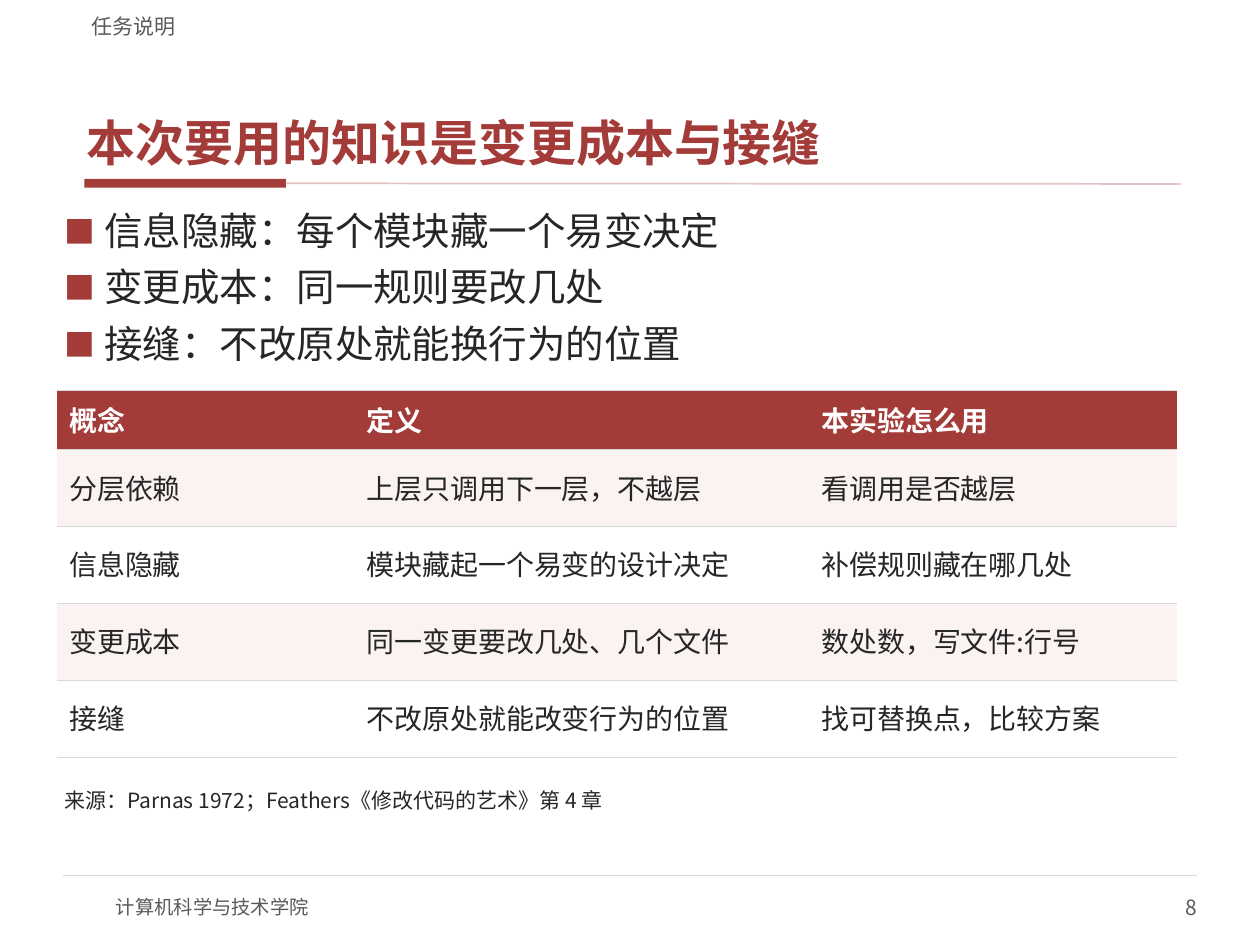
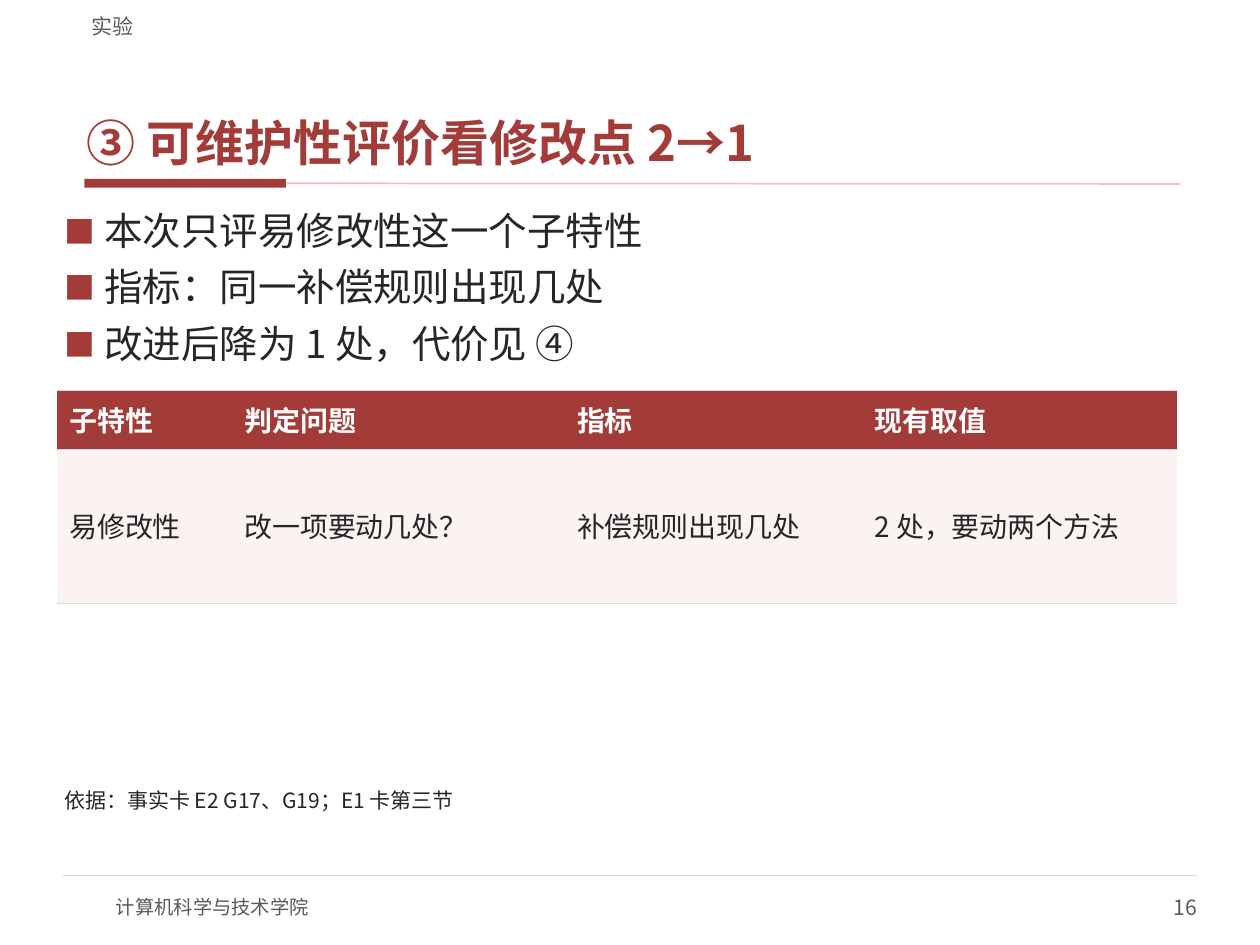
from lxml.etree import SubElement
from pptx import Presentation
from pptx.dml.color import RGBColor
from pptx.enum.shapes import MSO_CONNECTOR, MSO_SHAPE
from pptx.enum.text import MSO_ANCHOR as ANCHOR, MSO_AUTO_SIZE, PP_ALIGN as ALIGN
from pptx.oxml import parse_xml
from pptx.oxml.ns import nsdecls, qn
from pptx.util import Inches, Pt

# Content
SLIDES = [
    {
        "section": "任务说明",
        "number": "8",
        "title": "本次要用的知识是变更成本与接缝",
        "bullets": [
            "信息隐藏：每个模块藏一个易变决定",
            "变更成本：同一规则要改几处",
            "接缝：不改原处就能换行为的位置",
        ],
        "cols": [2.36, 3.61, 2.92],
        "row_height": 0.61,
        "rows": [
            ("概念", "定义", "本实验怎么用"),
            ("分层依赖", "上层只调用下一层，不越层", "看调用是否越层"),
            ("信息隐藏", "模块藏起一个易变的设计决定", "补偿规则藏在哪几处"),
            ("变更成本", "同一变更要改几处、几个文件", "数处数，写文件:行号"),
            ("接缝", "不改原处就能改变行为的位置", "找可替换点，比较方案"),
        ],
        "source": "来源：Parnas 1972；Feathers《修改代码的艺术》第 4 章",
    },
    {
        "section": "实验",
        "number": "16",
        "title": "③ 可维护性评价看修改点 2→1",
        "bullets": [
            "本次只评易修改性这一个子特性",
            "指标：同一补偿规则出现几处",
            "改进后降为 1 处，代价见 ④",
        ],
        "cols": [1.39, 2.64, 2.36, 2.5],
        "row_height": 1.22,
        "rows": [
            ("子特性", "判定问题", "指标", "现有取值"),
            ("易修改性", "改一项要动几处？", "补偿规则出现几处", "2 处，要动两个方法"),
        ],
        "source": "依据：事实卡 E2 G17、G19；E1 卡第三节",
    },
]
DEPARTMENT = "计算机科学与技术学院"

# Shared style
FONT = "Noto Sans CJK SC"
RED, PALE_RED, BAND = "A33B38", "E3C4C2", "FBF3F2"
INK, GREY, RULE, WHITE = "262626", "595959", "D9D9D9", "FFFFFF"
HEADER_HEIGHT = 0.47
BODY_INSETS = (0.06, 0.02)
STYLES = {
    "title": {"size": Pt(28), "bold": True, "color": RED},
    "bullet": {"size": Pt(22), "color": INK},
    "head": {"size": Pt(16), "bold": True, "color": WHITE},
    "cell": {"size": Pt(16), "bold": False, "color": INK},
    "source": {"size": Pt(12), "color": INK},
    "label": {"size": Pt(12), "color": GREY},
    "footer": {"size": Pt(11), "color": GREY},
}


def rgb(value):
    return RGBColor.from_string(value)


def write(p, text, style, **spacing):
    """Put one styled run in a paragraph."""
    for name, value in spacing.items():
        setattr(p, name, value)
    r = p.add_run()
    r.text = text
    r.font.name = FONT
    for name, value in STYLES[style].items():
        if name == "color":
            r.font.color.rgb = rgb(value)
        else:
            setattr(r.font, name, value)
    SubElement(r.font._element, qn("a:ea"), typeface=FONT)


def set_frame(tf, insets=(0, 0), anchor=ANCHOR.TOP):
    x, y = map(Inches, insets)
    frame = {
        "word_wrap": True, "auto_size": MSO_AUTO_SIZE.NONE, "vertical_anchor": anchor,
        "margin_left": x, "margin_right": x, "margin_top": y, "margin_bottom": y,
    }
    for name, value in frame.items():
        setattr(tf, name, value)


def add_text(s, at, text, style, insets=(0, 0), anchor=ANCHOR.TOP, **spacing):
    tf = s.shapes.add_textbox(*map(Inches, at)).text_frame
    set_frame(tf, insets, anchor)
    write(tf.paragraphs[0], text, style, **spacing)


def add_line(s, start, end, color, width):
    line = s.shapes.add_connector(MSO_CONNECTOR.STRAIGHT, *map(Inches, start + end))
    line.line.color.rgb = rgb(color)
    line.line.width = Pt(width)
    SubElement(line._element.spPr, qn("a:effectLst"))
    return line


def add_frame_parts(s, section, number):
    # Accent bar and rule under the title
    bar = s.shapes.add_shape(MSO_SHAPE.RECTANGLE, *map(Inches, (0.67, 1.42, 1.6, 0.07)))
    bar.shadow.inherit = False
    bar.fill.solid()
    bar.fill.fore_color.rgb = rgb(RED)
    bar.line.fill.background()
    add_line(s, (2.27, 1.46), (9.37, 1.46), PALE_RED, 1).begin_connect(bar, 3)

    # Footer and section label
    add_line(s, (0.5, 6.95), (9.5, 6.95), RULE, 0.75)
    add_text(s, (0.92, 7, 4, 0.4), DEPARTMENT, "footer", anchor=ANCHOR.MIDDLE)
    add_text(s, (7.5, 7, 2, 0.4), number, "label", anchor=ANCHOR.MIDDLE,
             alignment=ALIGN.RIGHT)
    add_text(s, (0.63, 0.04, 8.75, 0.27), section, "label", (0.1, 0), ANCHOR.BOTTOM)


def add_title(s, text):
    sp = s.shapes.title
    sp.left, sp.top, sp.width, sp.height = map(Inches, (0.63, 0.33, 8.75, 1.05))
    set_frame(sp.text_frame, BODY_INSETS, ANCHOR.BOTTOM)
    write(sp.text_frame.paragraphs[0], text, "title", alignment=ALIGN.LEFT,
          space_before=Pt(0), space_after=Pt(2))


def add_bullets(s, items):
    tf = s.shapes.add_textbox(*map(Inches, (0.45, 1.62, 9.1, 1.37))).text_frame
    set_frame(tf, BODY_INSETS)
    for i, item in enumerate(items):
        p = tf.add_paragraph() if i else tf.paragraphs[0]
        write(p, item, "bullet", space_before=Pt(4 if i else 0), space_after=Pt(2))
        pPr = p._p.get_or_add_pPr()
        pPr.set("marL", str(Inches(0.32)))
        pPr.set("indent", str(-Inches(0.32)))
        color = SubElement(pPr, qn("a:buClr"))
        SubElement(color, qn("a:srgbClr"), val=RED)
        SubElement(pPr, qn("a:buSzPct"), val="80000")
        SubElement(pPr, qn("a:buFont"), typeface=FONT)
        SubElement(pPr, qn("a:buChar"), char="■")


def set_borders(cell):
    """Thin rules above and below, none at the sides."""
    line = f'<a:solidFill><a:srgbClr val="{RULE}"/></a:solidFill>'
    sides = {"lnL": "<a:noFill/>", "lnR": "<a:noFill/>", "lnT": line, "lnB": line}
    for i, (side, paint) in enumerate(sides.items()):
        xml = f'<a:{side} {nsdecls("a")} w="{Pt(0.75)}">{paint}</a:{side}>'
        cell._tc.get_or_add_tcPr().insert(i, parse_xml(xml))


def add_table(s, rows, cols, row_height):
    heights = [HEADER_HEIGHT] + [row_height] * (len(rows) - 1)
    at = (0.45, 3.1, sum(cols), sum(heights))
    table = s.shapes.add_table(len(rows), len(cols), *map(Inches, at)).table
    table.horz_banding = False
    for column, width in zip(table.columns, cols):
        column.width = Inches(width)
    for i, (row, height) in enumerate(zip(table.rows, heights)):
        row.height = Inches(height)
        fill = RED if i == 0 else BAND if i % 2 else WHITE
        for cell, text in zip(row.cells, rows[i]):
            cell.vertical_anchor = ANCHOR.MIDDLE
            cell.fill.solid()
            cell.fill.fore_color.rgb = rgb(fill)
            set_borders(cell)
            write(cell.text_frame.paragraphs[0], text, "cell" if i else "head",
                  line_spacing=0.9, space_after=Pt(2))


def main():
    prs = Presentation()
    prs.slide_width, prs.slide_height = Inches(10), Inches(7.5)
    for content in SLIDES:
        s = prs.slides.add_slide(prs.slide_layouts[5])
        add_frame_parts(s, content["section"], content["number"])
        add_title(s, content["title"])
        add_bullets(s, content["bullets"])
        add_table(s, content["rows"], content["cols"], content["row_height"])
        add_text(s, (0.45, 6.23, 9.1, 0.32), content["source"], "source", BODY_INSETS,
                 space_after=Pt(2))
    prs.save("out.pptx")


if __name__ == "__main__":
    main()
